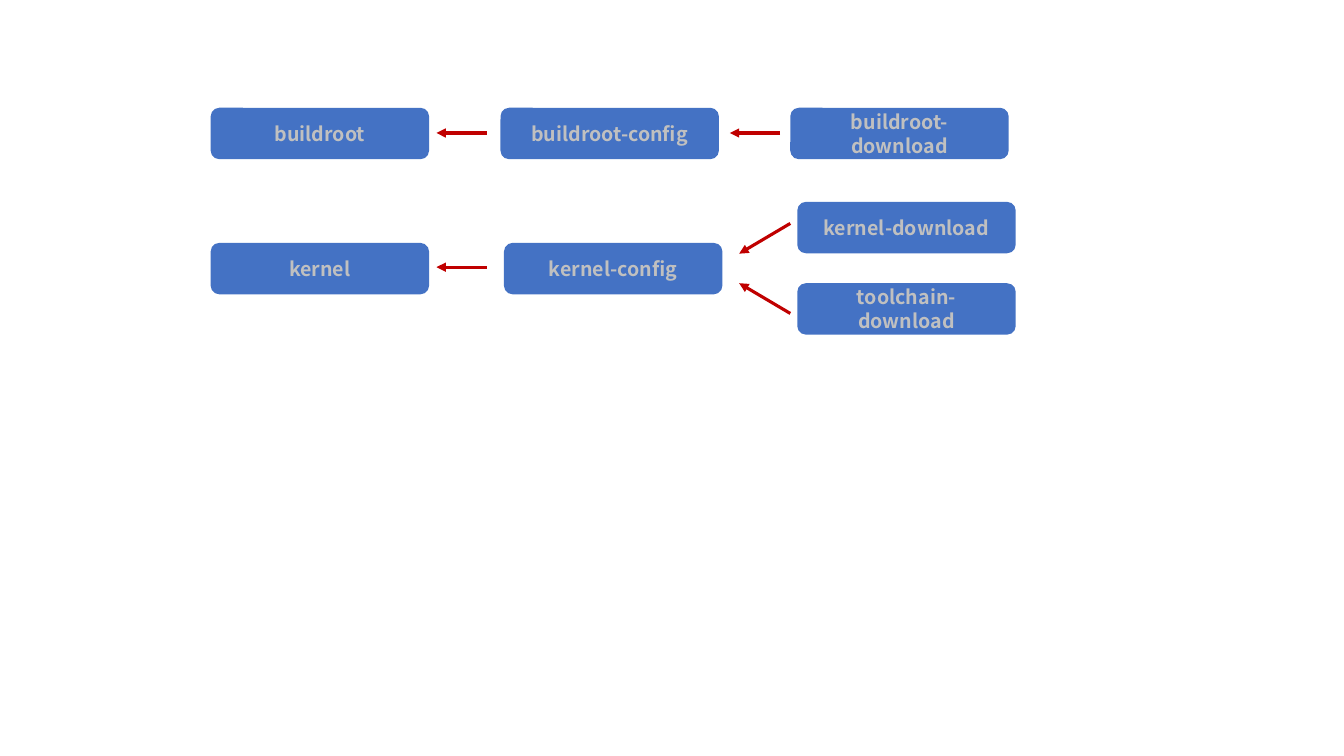
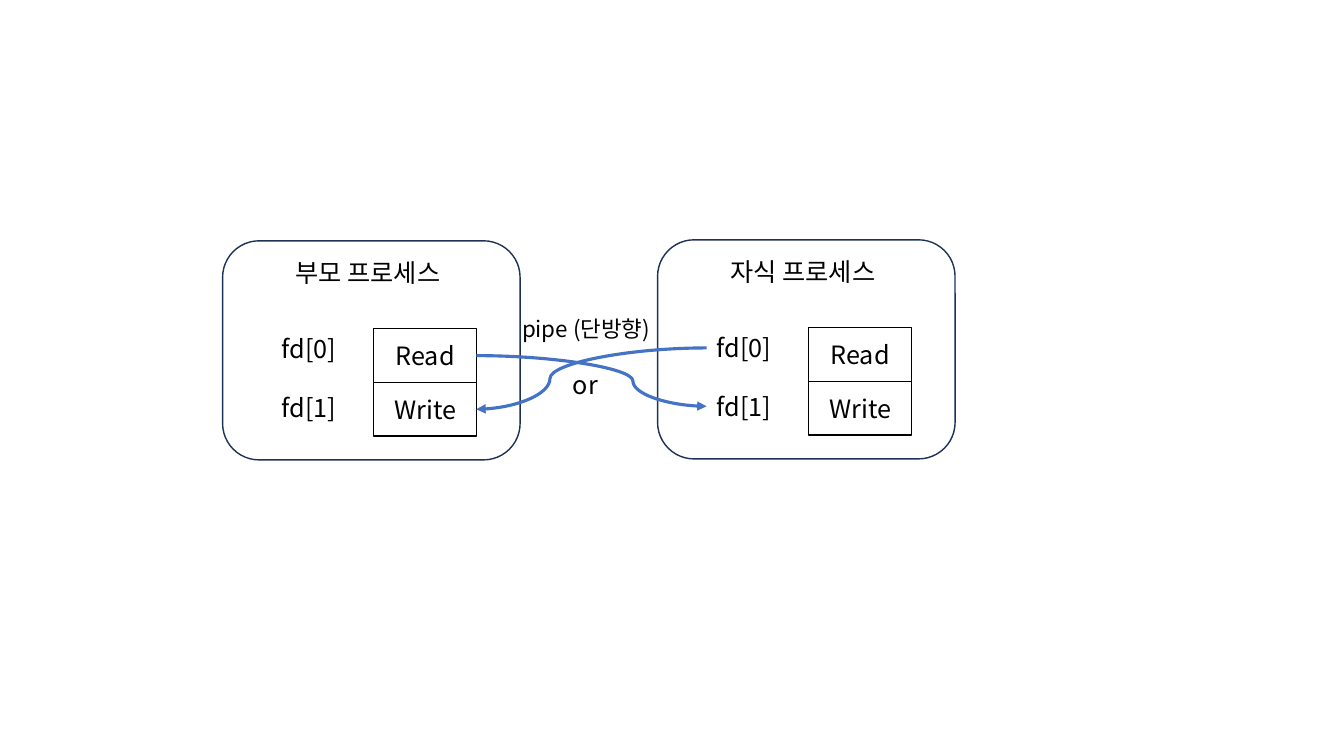
from lxml import etree
from pptx import Presentation
from pptx.dml.color import RGBColor
from pptx.enum import shapes, text
from pptx.oxml.ns import qn
from pptx.util import Pt

FONT = "Noto Sans CJK KR"
BLUE = RGBColor(0x44, 0x72, 0xC4)
NAVY = RGBColor(0x1E, 0x32, 0x56)
SILVER = RGBColor(0xC0, 0xC0, 0xC0)
RED = RGBColor(0xC0, 0x00, 0x00)
BLACK = RGBColor(0, 0, 0)
RECTANGLE = shapes.MSO_SHAPE.RECTANGLE
ROUNDED = shapes.MSO_SHAPE.ROUNDED_RECTANGLE
STRAIGHT = shapes.MSO_CONNECTOR.STRAIGHT
CURVE = shapes.MSO_CONNECTOR.CURVE


def add_text(slide, words, left, top, width, height, kind=None, fill=None,
             line=None, size=18, color=BLACK, bold=False, centered=False):
    """Add a text box, or a preset shape when kind is given."""
    box = tuple(Pt(value) for value in (left, top, width, height))
    if kind is None:
        shape = slide.shapes.add_textbox(*box)
        shape.text_frame.auto_size = text.MSO_AUTO_SIZE.SHAPE_TO_FIT_TEXT
    else:
        shape = slide.shapes.add_shape(kind, *box)
        shape.shadow.inherit = False
        shape.text_frame.vertical_anchor = text.MSO_ANCHOR.MIDDLE
        if fill is None:
            shape.fill.background()
        else:
            shape.fill.solid()
            shape.fill.fore_color.rgb = fill
        if line is None:
            shape.line.fill.background()
        else:
            shape.line.color.rgb = line
            shape.line.width = Pt(1)
    shape.text_frame.word_wrap = True
    if words:
        paragraph = shape.text_frame.paragraphs[0]
        paragraph.alignment = text.PP_ALIGN.CENTER if centered else text.PP_ALIGN.LEFT
        run = paragraph.add_run()
        run.text = words
        run.font.name = FONT
        run.font.size = Pt(size)
        run.font.bold = bold
        run.font.color.rgb = color
        etree.SubElement(run.font._element, qn("a:ea"), typeface=FONT)


def add_arrow(slide, kind, start, end, color, bend=None):
    """Add an arrow; bend is where a curve turns, as a share of its width."""
    connector = slide.shapes.add_connector(kind, *(Pt(value) for value in start + end))
    connector.line.color.rgb = color
    connector.line.width = Pt(2.25)
    etree.SubElement(connector.line._get_or_add_ln(), qn("a:tailEnd"), type="triangle")
    properties = connector._element.spPr
    etree.SubElement(properties, qn("a:effectLst"))
    if bend is not None:
        adjustments = properties.find(qn("a:prstGeom")).get_or_add_avLst()
        etree.SubElement(adjustments, qn("a:gd"), name="adj1",
                         fmla=f"val {round(bend * 100000)}")


presentation = Presentation()
presentation.slide_width = Pt(960)
presentation.slide_height = Pt(540)
blank = presentation.slide_layouts[6]

# Build targets and what they depend on
slide = presentation.slides.add_slide(blank)
TARGETS = [
    ("buildroot", 150.5, 77),
    ("buildroot-config", 357.5, 77),
    ("buildroot-download", 564.5, 77),
    ("kernel", 150.5, 173.5),
    ("kernel-config", 360, 173.5),
    ("kernel-download", 569.5, 144.2),
    ("toolchain-download", 569.5, 202.3),
]
for name, left, top in TARGETS:
    add_text(slide, name, left, top, 156, 36.7, kind=ROUNDED, fill=BLUE,
             size=14, color=SILVER, bold=True, centered=True)

DEPENDENCIES = [
    ((557.3, 95), (521.3, 95)),
    ((347.8, 95), (311.8, 95)),
    ((347.8, 190.8), (311.8, 190.8)),
    ((564.5, 159.6), (528, 181.2)),
    ((564.5, 223.9), (528, 202.3)),
]
for start, end in DEPENDENCIES:
    add_arrow(slide, STRAIGHT, start, end, RED)

# Two processes joined by a one-way pipe
slide = presentation.slides.add_slide(blank)
PROCESSES = [("부모 프로세스", 159, 172), ("자식 프로세스", 469.7, 171.3)]
for name, left, top in PROCESSES:
    add_text(slide, "", left, top, 212.5, 156.5, kind=ROUNDED, line=NAVY)
    add_text(slide, name, left + 45, top + 8, 134, 29)
    for index, mode in enumerate(("Read", "Write")):
        add_text(slide, f"fd[{index}]", left + 35, top + 62.7 + index * 42, 73.5, 29)
        add_text(slide, mode, left + 108, top + 62.7 + index * 38.4, 73.5, 38.4,
                 kind=RECTANGLE, line=BLACK, centered=True)

add_arrow(slide, CURVE, (340.2, 254), (504.7, 290.2), BLUE, bend=0.68)
add_arrow(slide, CURVE, (504.7, 248.5), (340.2, 292.3), BLUE, bend=0.68)
add_text(slide, "or", 398, 260.6, 40.4, 29, centered=True)
add_text(slide, "pipe (단방향)", 365.8, 221.8, 123, 26.6, size=16)

presentation.save("out.pptx")
